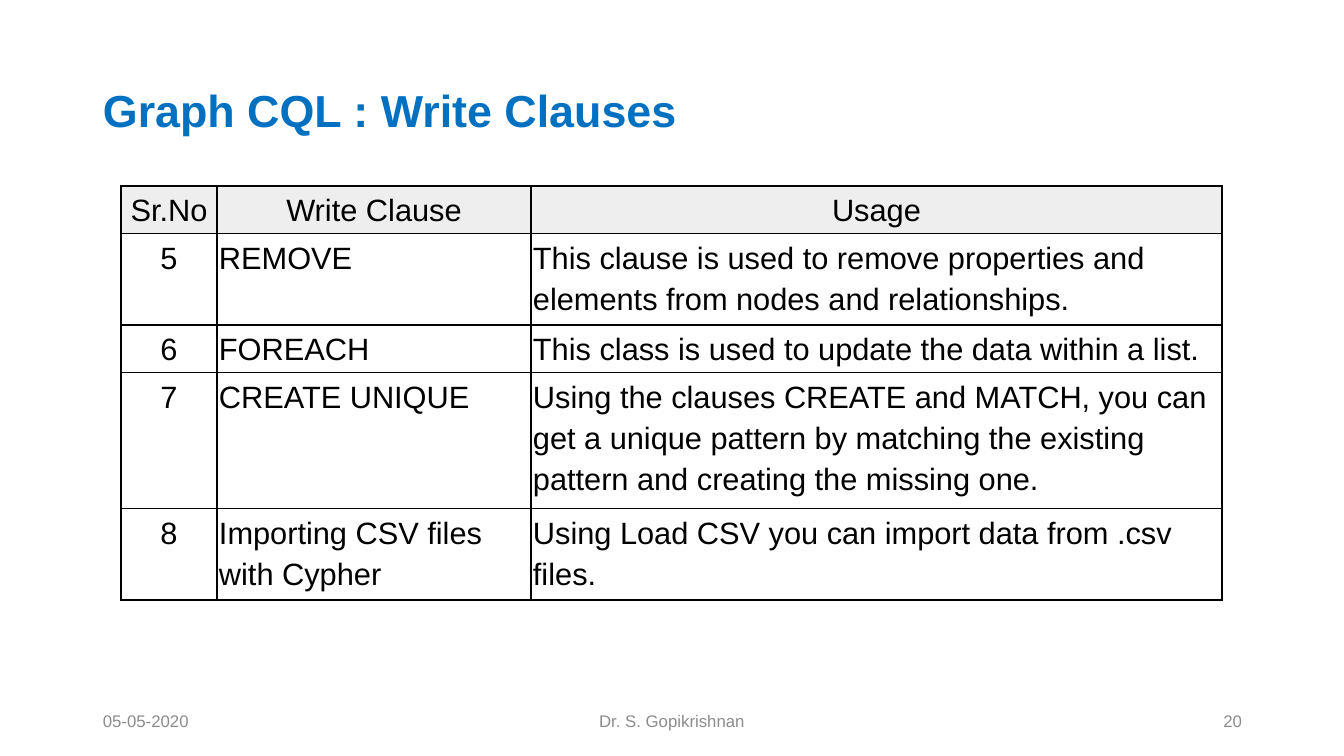
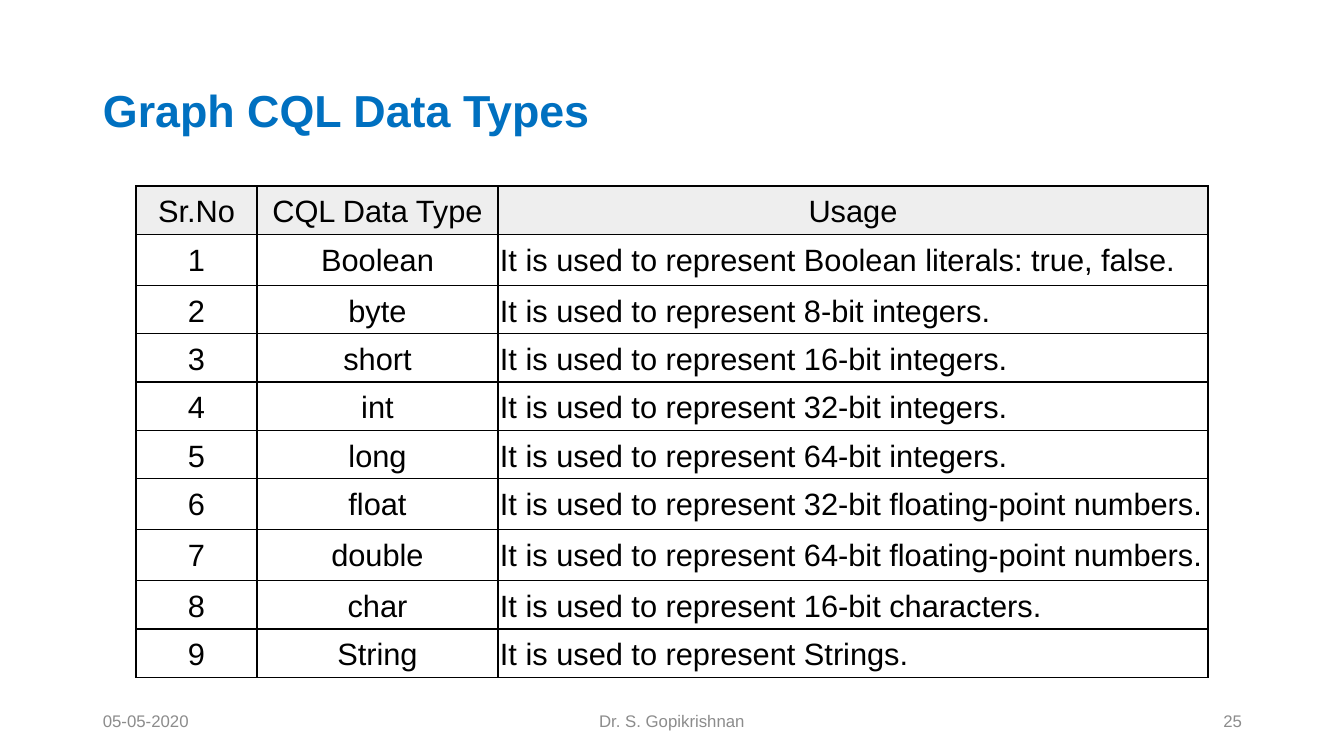
"""Build two slides of Graph CQL reference tables."""
import pptx
import pptx.dml.color
import pptx.enum.text
import pptx.oxml
import pptx.oxml.ns
import pptx.util

PX = 914400 / 100.8
FONT = "Arial"
COLORS = {"title": "0070C0", "footer": "8C8C8C", "text": "000000",
          "border": "000000", "header": "EEEEEE"}
ALIGN = pptx.enum.text.PP_ALIGN
MIDDLE = pptx.enum.text.MSO_ANCHOR.MIDDLE
TABLE_TOP = 186
SIDE_INSET = 2

SLIDES = [
    {
        "title": "Graph CQL : Write Clauses",
        "number": "20",
        "left": 121,
        "insets": (1, 2),
        "widths": [96, 314, 691],
        "heights": [45, 86, 44, 128, 86],
        "aligns": [ALIGN.CENTER, ALIGN.LEFT, ALIGN.LEFT],
        "rows": [
            ("Sr.No", "Write Clause", "Usage"),
            ("5", "REMOVE", "This clause is used to remove properties and "
                            "elements from nodes and relationships."),
            ("6", "FOREACH", "This class is used to update the data within a list."),
            ("7", "CREATE UNIQUE", "Using the clauses CREATE and MATCH, you can get a "
                                   "unique pattern by matching the existing pattern "
                                   "and creating the missing one."),
            ("8", "Importing CSV files with Cypher",
             "Using Load CSV you can import data from .csv files."),
        ],
    },
    {
        "title": "Graph CQL Data Types",
        "number": "25",
        "left": 136,
        "insets": (2, 2),
        "widths": [121, 241, 710],
        "heights": [46, 51, 46, 46, 46, 46, 51, 51, 46, 46],
        "aligns": [ALIGN.CENTER, ALIGN.CENTER, ALIGN.LEFT],
        "rows": [
            ("Sr.No", "CQL Data Type", "Usage"),
            ("1", "Boolean", "It is used to represent Boolean literals: true, false."),
            ("2", "byte", "It is used to represent 8-bit integers."),
            ("3", "short", "It is used to represent 16-bit integers."),
            ("4", "int", "It is used to represent 32-bit integers."),
            ("5", "long", "It is used to represent 64-bit integers."),
            ("6", "float", "It is used to represent 32-bit floating-point numbers."),
            ("7", "double", "It is used to represent 64-bit floating-point numbers."),
            ("8", "char", "It is used to represent 16-bit characters."),
            ("9", "String", "It is used to represent Strings."),
        ],
    },
]


def px(length):
    return pptx.util.Emu(round(length * PX))


def write(frame, text, size, color, align=ALIGN.LEFT, bold=False, spacing=1.0):
    frame.word_wrap = True
    para = frame.paragraphs[0]
    para.text = text
    para.alignment = align
    para.line_spacing = spacing
    para.font.name = FONT
    para.font.size = pptx.util.Pt(size)
    para.font.bold = bold
    para.font.color.rgb = pptx.dml.color.RGBColor.from_string(COLORS[color])


deck = pptx.Presentation()
deck.slide_width, deck.slide_height = px(1344), px(756)

for content in SLIDES:
    page = deck.slides.add_slide(deck.slide_layouts[6])

    title = page.shapes.add_textbox(px(93), px(40), px(1159), px(146)).text_frame
    title.vertical_anchor = MIDDLE
    write(title, content["title"], 32, "title", bold=True, spacing=0.9)

    for left, width, text, align in [
        (93, 302, "05-05-2020", ALIGN.LEFT),
        (445, 454, "Dr. S. Gopikrishnan", ALIGN.CENTER),
        (950, 302, content["number"], ALIGN.RIGHT),
    ]:
        footer = page.shapes.add_textbox(px(left), px(701), px(width), px(40)).text_frame
        footer.vertical_anchor = MIDDLE
        write(footer, text, 12, "footer", align)

    rows, widths, heights = content["rows"], content["widths"], content["heights"]
    table = page.shapes.add_table(
        len(rows), len(widths), px(content["left"]), px(TABLE_TOP),
        px(sum(widths)), px(sum(heights))).table
    table.first_row = False
    table.horz_banding = False
    for column, width in zip(table.columns, widths):
        column.width = px(width)
    for row, height in zip(table.rows, heights):
        row.height = px(height)

    for row_index, row in enumerate(rows):
        for column_index, text in enumerate(row):
            cell = table.cell(row_index, column_index)
            cell.margin_left = cell.margin_right = px(SIDE_INSET)
            cell.margin_top, cell.margin_bottom = map(px, content["insets"])
            align = content["aligns"][column_index]
            if row_index == 0:
                align = ALIGN.CENTER
                cell.fill.solid()
                cell.fill.fore_color.rgb = pptx.dml.color.RGBColor.from_string(
                    COLORS["header"])
            else:
                cell.fill.background()
            write(cell.text_frame, text, 22, "text", align, spacing=1.2)
            properties = cell._tc.get_or_add_tcPr()
            for position, side in enumerate("LRTB"):
                properties.insert(position, pptx.oxml.parse_xml(
                    f'<a:ln{side} {pptx.oxml.ns.nsdecls("a")} w="{pptx.util.Pt(1)}">'
                    f'<a:solidFill><a:srgbClr val="{COLORS["border"]}"/></a:solidFill>'
                    f'</a:ln{side}>'))

deck.save("out.pptx")
